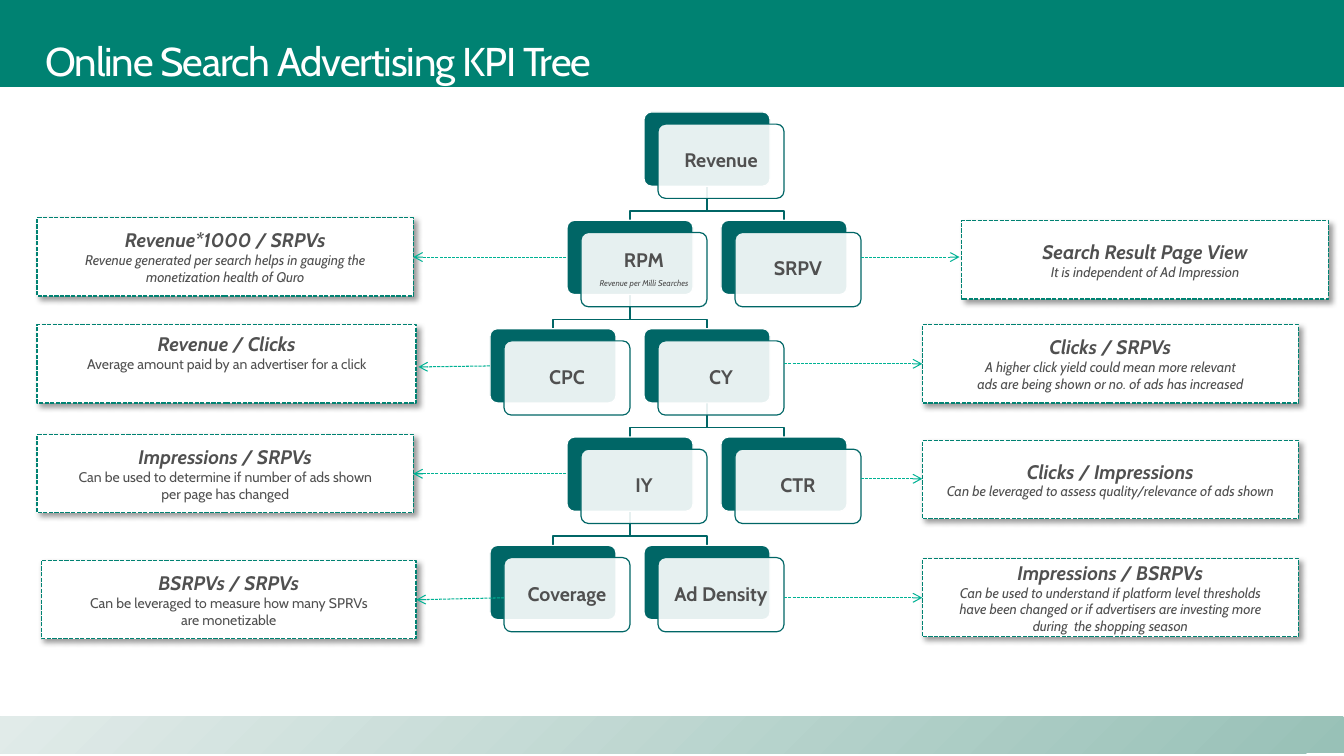
"""Builds a slide with a KPI tree for online search advertising."""
from dataclasses import dataclass

from lxml.etree import SubElement
from pptx import Presentation
from pptx.dml.color import RGBColor
from pptx.enum.dml import MSO_LINE
from pptx.enum.shapes import MSO_CONNECTOR, MSO_SHAPE
from pptx.enum.text import MSO_ANCHOR, MSO_AUTO_SIZE, PP_ALIGN
from pptx.oxml.ns import qn
from pptx.shapes.autoshape import Shape
from pptx.slide import Slide
from pptx.text.text import TextFrame, _Paragraph as Paragraph
from pptx.util import Pt

WHITE = RGBColor(0xFF, 0xFF, 0xFF)
TEAL = RGBColor(0x00, 0x82, 0x72)
DARK_TEAL = RGBColor(0x00, 0x66, 0x66)
MINT = RGBColor(0x00, 0xB2, 0x94)
GREY = RGBColor(0x50, 0x50, 0x50)
FOOTER_DARK = RGBColor(0x98, 0xC1, 0xB7)
FOOTER_LIGHT = RGBColor(0xE1, 0xEB, 0xE9)
FONT = "Cabin"

SLIDE_W, SLIDE_H = 960, 540
TREE_LEFT, TREE_TOP = 350, 80
COL_STEP, ROW_STEP = 55, 77.4
NODE_W, NODE_H = 90, 53
FRONT_DX, FRONT_DY = 10, 8.7
ELBOW_DROP = 17.7
CARD_H = 56


@dataclass(frozen=True)
class Node:
    label: str
    col: int
    row: int
    parent: str = ""
    note: str = ""

    @property
    def left(self) -> float:
        return TREE_LEFT + self.col * COL_STEP

    @property
    def top(self) -> float:
        return TREE_TOP + self.row * ROW_STEP

    @property
    def center(self) -> float:
        return self.left + NODE_W / 2


@dataclass(frozen=True)
class Card:
    left: float
    top: float
    width: float
    heading: str
    lines: tuple[str, ...]
    arrow: tuple[float, float, float, float]
    italic: bool = True
    bottom_inset: float = 3.6


NODES = (
    Node("Revenue", 2, 0),
    Node("RPM", 1, 1, "Revenue", "Revenue per Milli Searches"),
    Node("SRPV", 3, 1, "Revenue"),
    Node("CPC", 0, 2, "RPM"),
    Node("CY", 2, 2, "RPM"),
    Node("IY", 1, 3, "CY"),
    Node("CTR", 3, 3, "CY"),
    Node("Coverage", 0, 4, "IY"),
    Node("Ad Density", 2, 4, "IY"),
)

CARDS = (
    Card(26.6, 155.5, 268.6, "Revenue*1000 / SRPVs",
         ("Revenue generated per search helps in gauging the",
          "monetization health of Quro"), (404.6, 183.6, 295.2, 183.6)),
    Card(26.6, 231.8, 270.7, "Revenue / Clicks",
         ("Average amount paid by an advertiser for a click",),
         (349.9, 261.4, 298.8, 262.1), italic=False, bottom_inset=20.6),
    Card(26.6, 310.3, 268.6, "Impressions / SRPVs",
         ("Can be used to determine if number of ads shown",
          "per page has changed"), (404.6, 338.4, 295.2, 338.4), italic=False),
    Card(29.5, 400.3, 267.8, "BSRPVs / SRPVs",
         ("Can be leveraged to measure how many SPRVs",
          "are monetizable"), (360, 427, 297.4, 428.4), italic=False),
    Card(686.9, 157.7, 262.1, "Search Result Page View",
         ("It is independent of Ad Impression",), (614.9, 183.6, 685.4, 183.6)),
    Card(658.8, 231.8, 268.6, "Clicks / SRPVs",
         ("A higher click yield could mean more relevant",
          "ads are being shown or no. of ads has increased"),
         (560.2, 259.9, 658.8, 259.9)),
    Card(658.8, 314.6, 268.6, "Clicks / Impressions",
         ("Can be leveraged to assess quality/relevance of ads shown",),
         (614.9, 342, 658.8, 342)),
    Card(658.8, 398.9, 268.6, "Impressions / BSRPVs",
         ("Can be used to understand if platform level thresholds",
          "have been changed or if advertisers are investing more",
          "during  the shopping season"), (560.2, 427, 658.8, 427)),
)


def add_box(s: Slide, kind: MSO_SHAPE, left: float, top: float, width: float,
            height: float, fill: RGBColor, line: RGBColor | None = None,
            weight: float = 0.85) -> Shape:
    sp = s.shapes.add_shape(kind, Pt(left), Pt(top), Pt(width), Pt(height))
    sp.shadow.inherit = False
    sp.fill.solid()
    sp.fill.fore_color.rgb = fill
    if line is None:
        sp.line.fill.background()
    else:
        sp.line.color.rgb = line
        sp.line.width = Pt(weight)
    if kind == MSO_SHAPE.ROUNDED_RECTANGLE:
        sp.adjustments[0] = 0.1
    return sp


def set_insets(tf: TextFrame, left: float, top: float, right: float, bottom: float) -> None:
    tf.margin_left, tf.margin_top = Pt(left), Pt(top)
    tf.margin_right, tf.margin_bottom = Pt(right), Pt(bottom)


def format_text(p: Paragraph, size: float, bold: bool = False, italic: bool = False,
                color: RGBColor = GREY, align: PP_ALIGN = PP_ALIGN.CENTER) -> None:
    p.alignment = align
    for r in p.runs:
        r.font.name, r.font.size = FONT, Pt(size)
        r.font.bold, r.font.italic = bold, italic
        r.font.color.rgb = color


def add_header_and_footer(s: Slide) -> None:
    title = s.shapes.title
    header = add_box(s, MSO_SHAPE.RECTANGLE, 0, 0, SLIDE_W, 62, TEAL)
    footer = add_box(s, MSO_SHAPE.RECTANGLE, 0, 512, SLIDE_W, 26, FOOTER_LIGHT)
    footer.fill.gradient()
    footer.fill.gradient_angle = 135
    for stop, color in zip(footer.fill.gradient_stops, (FOOTER_DARK, FOOTER_LIGHT)):
        stop.color.rgb = color
    for bar in (header, footer):
        title.element.addprevious(bar.element)

    title.left, title.top, title.width, title.height = Pt(21), Pt(23), Pt(855), Pt(104)
    tf = title.text_frame
    tf.text = "Online Search Advertising KPI Tree"
    tf.auto_size, tf.vertical_anchor = MSO_AUTO_SIZE.NONE, MSO_ANCHOR.TOP
    set_insets(tf, 11.5, 7.2, 11.5, 7.2)
    p = tf.paragraphs[0]
    p.line_spacing = 0.9
    format_text(p, 28.7, color=WHITE, align=PP_ALIGN.LEFT)
    p.runs[0].font.element.set("spc", "-80") if hasattr(p.runs[0].font, "element") \
        else p.runs[0]._r.get_or_add_rPr().set("spc", "-80")


def add_link(s: Slide, parent: Node, child: Node) -> None:
    bottom = parent.top + NODE_H
    elbow = bottom + ELBOW_DROP
    builder = s.shapes.build_freeform(Pt(parent.center), Pt(bottom))
    corners = ((parent.center, elbow), (child.center, elbow), (child.center, child.top + 2))
    builder.add_line_segments([(Pt(x), Pt(y)) for x, y in corners], close=False)
    sp = builder.convert_to_shape()
    sp.shadow.inherit = False
    sp.fill.background()
    sp.line.color.rgb, sp.line.width = DARK_TEAL, Pt(0.85)


def add_node(s: Slide, node: Node) -> None:
    kind = MSO_SHAPE.ROUNDED_RECTANGLE
    add_box(s, kind, node.left, node.top, NODE_W, NODE_H, DARK_TEAL, WHITE)
    front = add_box(s, kind, node.left + FRONT_DX, node.top + FRONT_DY,
                    NODE_W, NODE_H, WHITE, DARK_TEAL)
    color = front.element.spPr.find(qn("a:solidFill"))[0]
    SubElement(color, qn("a:alpha"), val="90000")
    tf = front.text_frame
    tf.word_wrap, tf.vertical_anchor = True, MSO_ANCHOR.MIDDLE
    set_insets(tf, 6.5, 6.5, 6.5, 6.5)
    tf.text = "\n".join(filter(None, (node.label, node.note)))
    for i, p in enumerate(tf.paragraphs):
        p.line_spacing, p.space_after = 0.9, Pt(2 if i else 5)
        format_text(p, 6 if i else 14, bold=not i, italic=bool(i))


def add_card(s: Slide, card: Card) -> None:
    sp = add_box(s, MSO_SHAPE.RECTANGLE, card.left, card.top, card.width, CARD_H,
                 WHITE, TEAL, 1)
    sp.line.dash_style = MSO_LINE.SQUARE_DOT
    effects = sp.element.spPr.find(qn("a:effectLst"))
    shadow = SubElement(effects, qn("a:outerShdw"), blurRad=str(Pt(4)), dist=str(Pt(3)),
                        dir="2700000", algn="tl", rotWithShape="0")
    color = SubElement(shadow, qn("a:srgbClr"), val="000000")
    SubElement(color, qn("a:alpha"), val="40000")
    tf = sp.text_frame
    tf.word_wrap, tf.vertical_anchor = False, MSO_ANCHOR.MIDDLE
    set_insets(tf, 3.6, 3.6, 3.6, card.bottom_inset)
    tf.text = "\n".join((card.heading, *card.lines))
    for i, p in enumerate(tf.paragraphs):
        format_text(p, 10 if i else 14, bold=not i, italic=card.italic or not i)


def add_arrow(s: Slide, card: Card) -> None:
    line = s.shapes.add_connector(MSO_CONNECTOR.STRAIGHT, *(Pt(v) for v in card.arrow))
    line.line.color.rgb, line.line.width = MINT, Pt(0.75)
    line.line.dash_style = MSO_LINE.SQUARE_DOT
    sp_pr = line.element.spPr
    SubElement(sp_pr.find(qn("a:ln")), qn("a:tailEnd"), type="arrow")
    SubElement(sp_pr, qn("a:effectLst"))


def main() -> None:
    prs = Presentation()
    prs.slide_width, prs.slide_height = Pt(SLIDE_W), Pt(SLIDE_H)
    s = prs.slides.add_slide(prs.slide_layouts[5])
    add_header_and_footer(s)
    by_label = {node.label: node for node in NODES}
    for node in NODES:
        if node.parent:
            add_link(s, by_label[node.parent], node)
    for node in NODES:
        add_node(s, node)
    for card in CARDS:
        add_card(s, card)
    for card in CARDS:
        add_arrow(s, card)
    prs.save("out.pptx")


if __name__ == "__main__":
    main()
